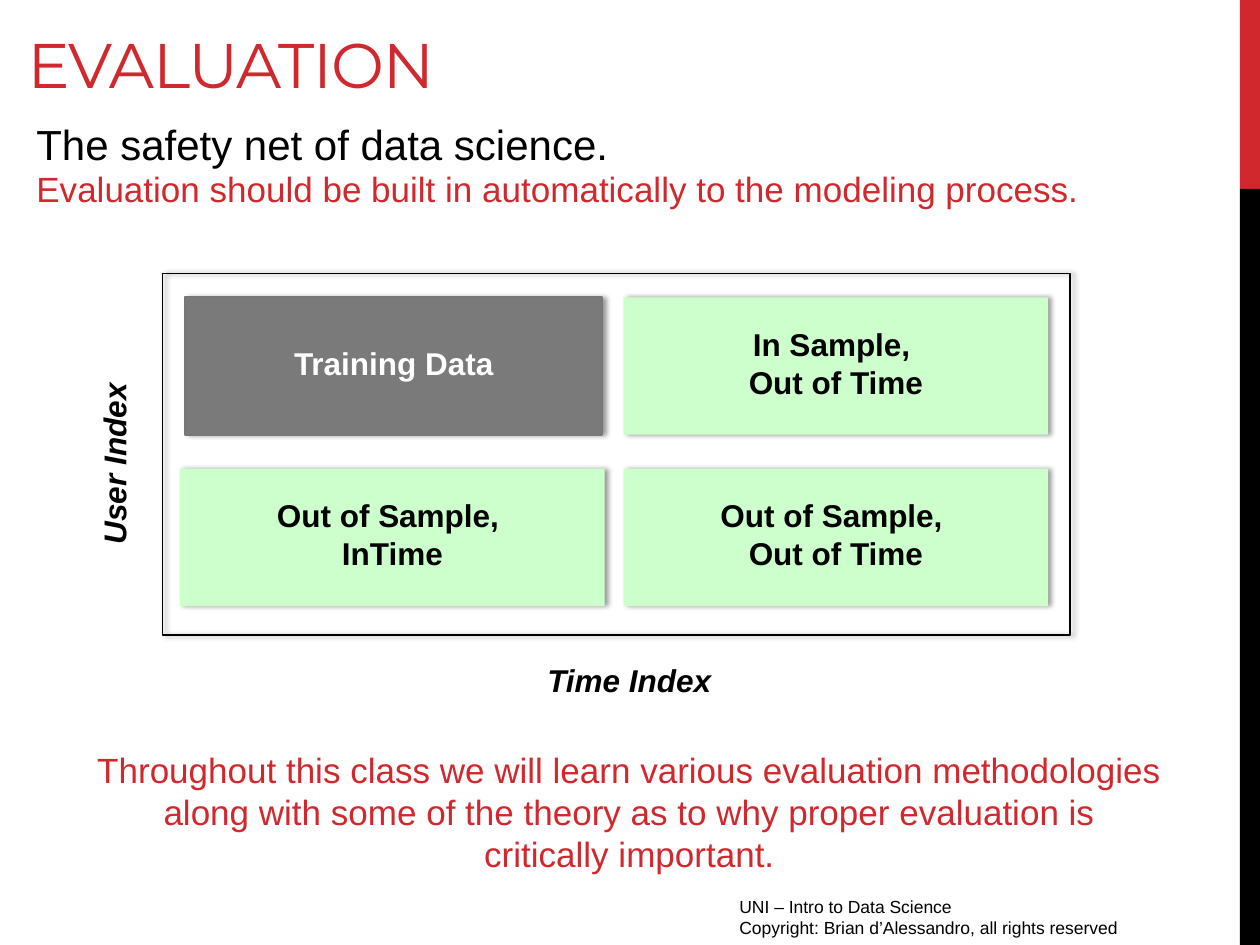
from dataclasses import dataclass

from lxml import etree
from pptx import Presentation
from pptx.dml.color import RGBColor
from pptx.enum.shapes import MSO_SHAPE
from pptx.enum.text import MSO_ANCHOR, MSO_AUTO_SIZE, PP_ALIGN
from pptx.oxml.ns import qn
from pptx.util import Inches, Pt


@dataclass(frozen=True)
class Theme:
    red: RGBColor = RGBColor(0xD1, 0x28, 0x2E)
    black: RGBColor = RGBColor(0, 0, 0)
    white: RGBColor = RGBColor(0xFF, 0xFF, 0xFF)
    gray: RGBColor = RGBColor(0x7A, 0x7A, 0x7A)
    gray_edge: RGBColor = RGBColor(0x77, 0x77, 0x77)
    green: RGBColor = RGBColor(0xCC, 0xFF, 0xCC)
    heading_font: str = "Montserrat"
    body_font: str = "Arial"
    title: int = 36
    lead: int = 24
    body: int = 20
    label: int = 18
    footer: int = 10


theme = Theme()


def write(frame, lines, size, color, align=PP_ALIGN.LEFT, bold=False,
          italic=False, font=theme.body_font):
    """Fill a text frame, one paragraph per line."""
    frame.word_wrap = True
    for index, line in enumerate(lines):
        paragraph = frame.add_paragraph() if index else frame.paragraphs[0]
        paragraph.alignment = align
        run = paragraph.add_run()
        run.text = line
        run.font.name = font
        run.font.size = Pt(size)
        run.font.bold = bold
        run.font.italic = italic
        run.font.color.rgb = color


def add_box(box, fill=None, edge=None, shadow=True):
    """Add a rectangle; a missing fill or edge stays transparent."""
    shape = slide.shapes.add_shape(MSO_SHAPE.RECTANGLE, *map(Inches, box))
    shape.shadow.inherit = False
    if fill is None:
        shape.fill.background()
    else:
        shape.fill.solid()
        shape.fill.fore_color.rgb = fill
    if edge is None:
        shape.line.fill.background()
    else:
        shape.line.color.rgb = edge
        shape.line.width = Pt(1)
    if shadow:
        effects = shape.element.spPr.find(qn("a:effectLst"))
        outer = etree.SubElement(effects, qn("a:outerShdw"), blurRad=str(Pt(3.1)),
                                 dist=str(Pt(1.8)), dir="0", rotWithShape="0")
        tint = etree.SubElement(outer, qn("a:srgbClr"), val=str(theme.black))
        etree.SubElement(tint, qn("a:alpha"), val="40000")
    return shape


prs = Presentation()
prs.slide_width, prs.slide_height = Inches(10), Inches(7.5)
slide = prs.slides.add_slide(prs.slide_layouts.get_by_name("Title Only"))

# Side band
add_box((9.84, 0, 0.16, 1.5), theme.red, shadow=False)
add_box((9.84, 1.5, 0.16, 6), theme.black, shadow=False)

# Title
title = slide.shapes.title
title.left, title.top, title.width, title.height = map(Inches, (0.12, -0.41, 9.46, 1.26))
title.text_frame.auto_size = MSO_AUTO_SIZE.NONE
title.text_frame.vertical_anchor = MSO_ANCHOR.BOTTOM
write(title.text_frame, ["EVALUATION"], theme.title, theme.red, font=theme.heading_font)
title.text_frame.paragraphs[0].runs[0].font._element.set("spc", "-60")

# Evaluation grid: users down, time across
row_tops = (2.36, 3.72)
cell_height = 1.09
cells = [
    (1.47, 3.31, 0, theme.gray, theme.gray_edge, theme.white, ["Training Data"]),
    (4.95, 3.37, 0, theme.green, None, theme.black, ["In Sample, ", "Out of Time"]),
    (4.95, 3.37, 1, theme.green, None, theme.black, ["Out of Sample, ", "Out of Time"]),
    (1.43, 3.37, 1, theme.green, None, theme.black, ["Out of Sample, ", "InTime"]),
]
for left, width, row, fill, edge, color, lines in cells:
    cell = add_box((left, row_tops[row], width, cell_height), fill, edge)
    cell.text_frame.vertical_anchor = MSO_ANCHOR.MIDDLE
    cell.text_frame.margin_bottom = Inches(0.1)
    write(cell.text_frame, lines, theme.label, color, PP_ALIGN.CENTER, bold=True)
add_box((1.29, 2.17, 7.2, 2.87), edge=theme.black)

# Axis labels
for label, left, top, rotation in (("Time Index", 3.56, 5.2, 0),
                                   ("User Index", -0.53, 3.48, 270)):
    axis = slide.shapes.add_textbox(*map(Inches, (left, top, 2.87, 0.4)))
    axis.rotation = rotation
    write(axis.text_frame, [label], theme.label, theme.black, PP_ALIGN.CENTER,
          bold=True, italic=True)

# Statements and footer
statements = [
    ((0.19, 0.89, 9.13, 0.5), theme.lead, theme.black, PP_ALIGN.LEFT,
     ["The safety net of data science."]),
    ((0.19, 1.28, 8.65, 0.44), theme.body, theme.red, PP_ALIGN.LEFT,
     ["Evaluation should be built in automatically to the modeling process."]),
    ((0.67, 5.89, 8.65, 1.11), theme.body, theme.red, PP_ALIGN.CENTER,
     ["Throughout this class we will learn various evaluation methodologies along "
      "with some of the theory as to why proper evaluation is critically important."]),
    ((5.77, 7.06, 3.75, 0.31), theme.footer, theme.black, PP_ALIGN.LEFT,
     ["UNI – Intro to Data Science",
      "Copyright: Brian d’Alessandro, all rights reserved"]),
]
for box, size, color, align, lines in statements:
    statement = slide.shapes.add_textbox(*map(Inches, box))
    write(statement.text_frame, lines, size, color, align)

prs.save("out.pptx")
